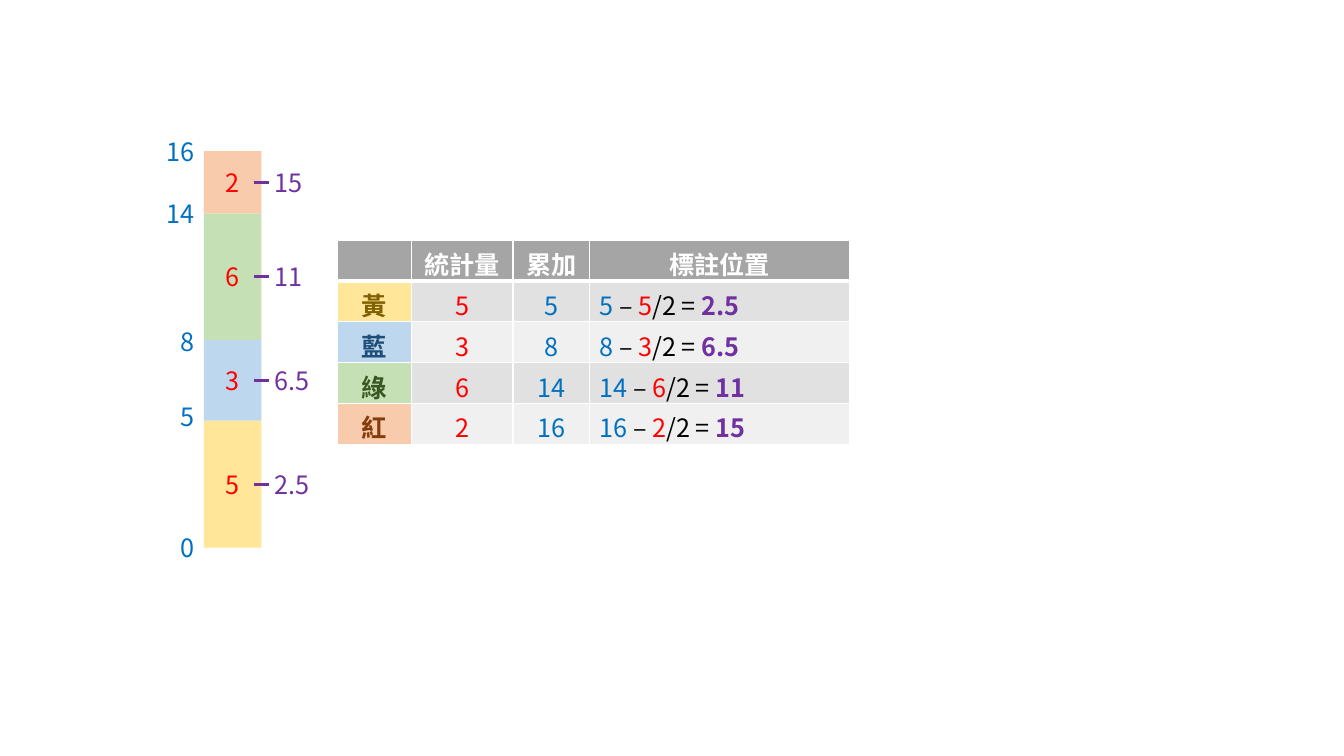
from collections import namedtuple
from itertools import accumulate

from lxml import etree
from pptx import Presentation
from pptx.dml.color import RGBColor
from pptx.enum.shapes import MSO_CONNECTOR, MSO_SHAPE
from pptx.enum.text import MSO_AUTO_SIZE, PP_ALIGN
from pptx.oxml.ns import qn
from pptx.util import Cm, Pt

RECTANGLE = MSO_SHAPE.RECTANGLE
STRAIGHT = MSO_CONNECTOR.STRAIGHT
FIT_SHAPE = MSO_AUTO_SIZE.SHAPE_TO_FIT_TEXT
LEFT, CENTER, RIGHT = PP_ALIGN.LEFT, PP_ALIGN.CENTER, PP_ALIGN.RIGHT

FONT = "Noto Sans CJK SC"
WHITE, BLACK = "FFFFFF", "000000"
COUNT_RED, TOTAL_BLUE, MARK_PURPLE = "FF0000", "0070C0", "7030A0"
HEADER_GREY = "A5A5A5"
ROW_GREYS = ("E1E1E1", "F0F0F0")
LABEL_HEIGHT = 1.02

# Groups from the bottom of the bar to the top; height and label_shift in cm
Group = namedtuple("Group", "name count height label_shift fill ink")
GROUPS = [
    Group("黃", 5, 3.2, -0.1, "FFE699", "806000"),
    Group("藍", 3, 2.03, 0.04, "BDD7EE", "1F4E79"),
    Group("綠", 6, 3.19, 0, "C5E0B4", "385723"),
    Group("紅", 2, 1.57, 0, "F8CBAD", "843C0B"),
]
TOTALS = list(accumulate(group.count for group in GROUPS))
MARKS = [f"{total - group.count / 2:g}" for group, total in zip(GROUPS, TOTALS)]


def color(value):
    return RGBColor.from_string(value)


def write(para, pieces, align):
    """Fill a paragraph with (text, colour, bold) pieces."""
    para.alignment = align
    for text, ink, bold in pieces:
        span = para.add_run()
        span.text = text
        span.font.size = Pt(18)
        span.font.name = FONT
        span.font.bold = bold
        span.font.color.rgb = color(ink)
        east_asian = etree.Element(qn("a:ea"), typeface=FONT)
        span.font._element.find(qn("a:latin")).addnext(east_asian)


def add_label(page, left, middle, width, text, ink, align):
    """Place a one-line label centred on the given height."""
    box = page.shapes.add_textbox(
        Cm(left), Cm(middle - LABEL_HEIGHT / 2), Cm(width), Cm(LABEL_HEIGHT))
    frame = box.text_frame
    frame.word_wrap = True
    frame.auto_size = FIT_SHAPE
    write(frame.paragraphs[0], [(text, ink, False)], align)


def add_total(page, right, middle, total):
    width = 1.44 if total > 9 else 1.19
    add_label(page, right - width, middle, width, str(total), TOTAL_BLUE, RIGHT)


def add_mark(page, right, middle, text):
    """Tick across the bar's right edge, with its value."""
    tick = page.shapes.add_connector(
        STRAIGHT, Cm(right - 0.2), Cm(middle), Cm(right + 0.2), Cm(middle))
    tick.line.color.rgb = color(MARK_PURPLE)
    tick.line.width = Pt(2.25)
    etree.SubElement(tick._element.spPr, qn("a:effectLst"))
    add_label(page, right + 0.07, middle, 1.65, text, MARK_PURPLE, LEFT)


def add_stacked_bar(page, left, bottom, width):
    add_total(page, left, bottom, 0)
    for group, total, mark in zip(GROUPS, TOTALS, MARKS):
        top = bottom - group.height
        middle = top + group.height / 2
        # Segment
        segment = page.shapes.add_shape(
            RECTANGLE, Cm(left), Cm(top), Cm(width), Cm(group.height))
        segment.shadow.inherit = False
        segment.fill.solid()
        segment.fill.fore_color.rgb = color(group.fill)
        segment.line.fill.background()
        # Labels
        add_label(page, left + 0.12, middle, width - 0.24,
                  str(group.count), COUNT_RED, CENTER)
        add_total(page, left, top + group.label_shift, total)
        add_mark(page, left + width, middle, mark)
        bottom = top


def style_cell(cell, fill, top_width, bottom_width):
    """Set the fill and the white borders of a cell."""
    cell.fill.solid()
    cell.fill.fore_color.rgb = color(fill)
    properties = cell._tc.get_or_add_tcPr()
    borders = [("L", 1), ("R", 1), ("T", top_width), ("B", bottom_width)]
    for position, (side, points) in enumerate(borders):
        border = etree.Element(qn(f"a:ln{side}"), w=str(Pt(points)))
        solid = etree.SubElement(border, qn("a:solidFill"))
        etree.SubElement(solid, qn("a:srgbClr"), val=WHITE)
        properties.insert(position, border)


def add_summary_table(page, left, top, widths, row_height):
    rows = len(GROUPS) + 1
    table = page.shapes.add_table(
        rows, len(widths), Cm(left), Cm(top),
        Cm(sum(widths)), Cm(row_height * rows)).table
    for column, width in zip(table.columns, widths):
        column.width = Cm(width)

    # Header
    for column, heading in enumerate(("", "統計量", "累加", "標註位置")):
        cell = table.cell(0, column)
        style_cell(cell, HEADER_GREY, 1, 3)
        if heading:
            write(cell.text_frame.paragraphs[0], [(heading, WHITE, True)], CENTER)

    # One row for each group
    for row, (group, total, mark) in enumerate(zip(GROUPS, TOTALS, MARKS), 1):
        grey = ROW_GREYS[(row - 1) % 2]
        formula = [
            (f"{total} ", TOTAL_BLUE, False),
            ("– ", BLACK, False),
            (str(group.count), COUNT_RED, False),
            ("/2 = ", BLACK, False),
            (mark, MARK_PURPLE, True),
        ]
        contents = [
            ([(group.name, group.ink, True)], group.fill, CENTER),
            ([(str(group.count), COUNT_RED, False)], grey, CENTER),
            ([(str(total), TOTAL_BLUE, False)], grey, CENTER),
            (formula, grey, LEFT),
        ]
        for column, (pieces, fill, align) in enumerate(contents):
            cell = table.cell(row, column)
            style_cell(cell, fill, 3 if row == 1 else 1, 1)
            write(cell.text_frame.paragraphs[0], pieces, align)

    for table_row in table.rows:
        table_row.height = Cm(row_height)


def main():
    deck = Presentation()
    deck.slide_width, deck.slide_height = Cm(33.87), Cm(19.05)
    page = deck.slides.add_slide(deck.slide_layouts[6])
    add_stacked_bar(page, left=5.14, bottom=13.8, width=1.45)
    add_summary_table(page, left=8.51, top=6.05,
                      widths=(1.85, 2.57, 1.93, 6.55), row_height=1.03)
    deck.save("out.pptx")


if __name__ == "__main__":
    main()
